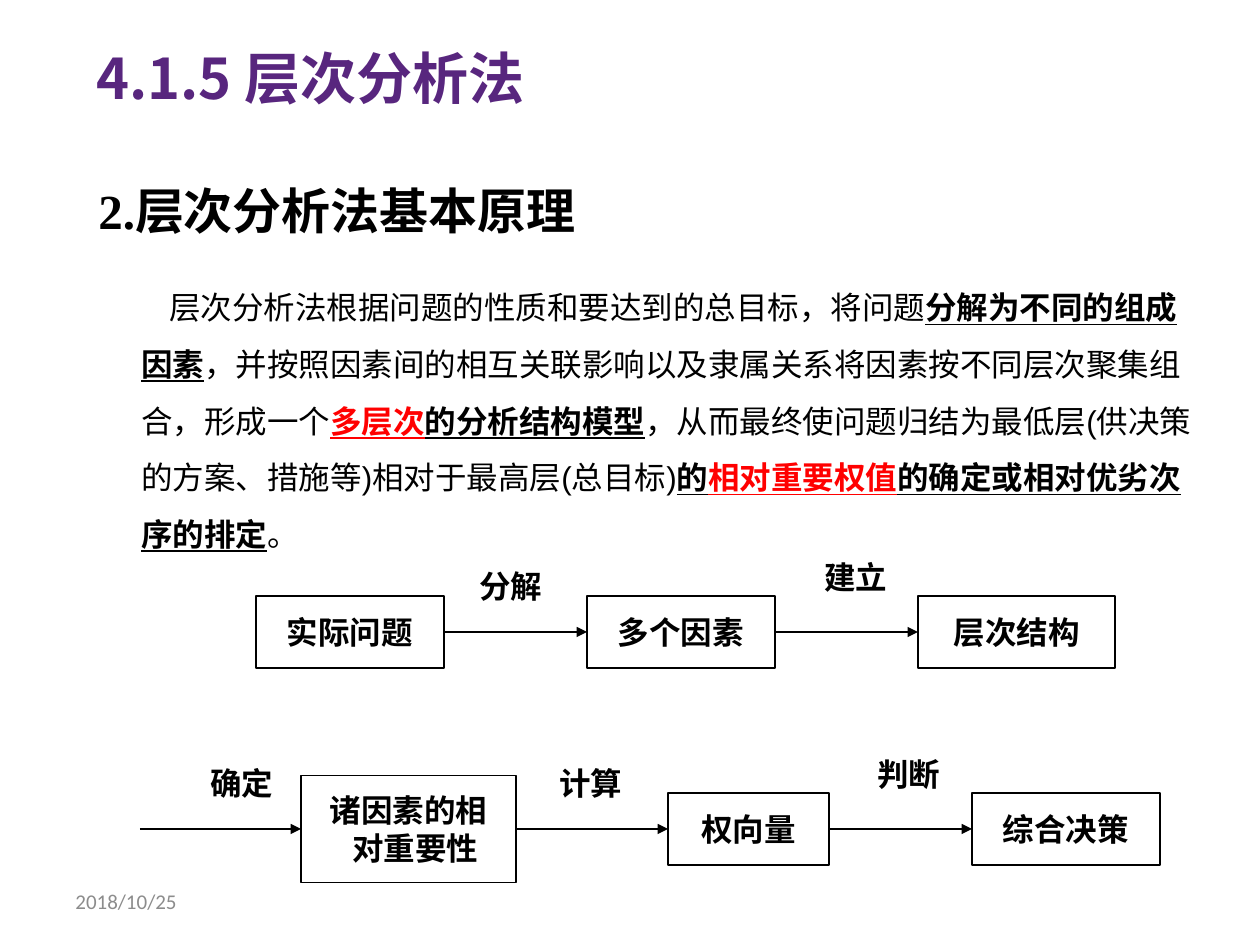
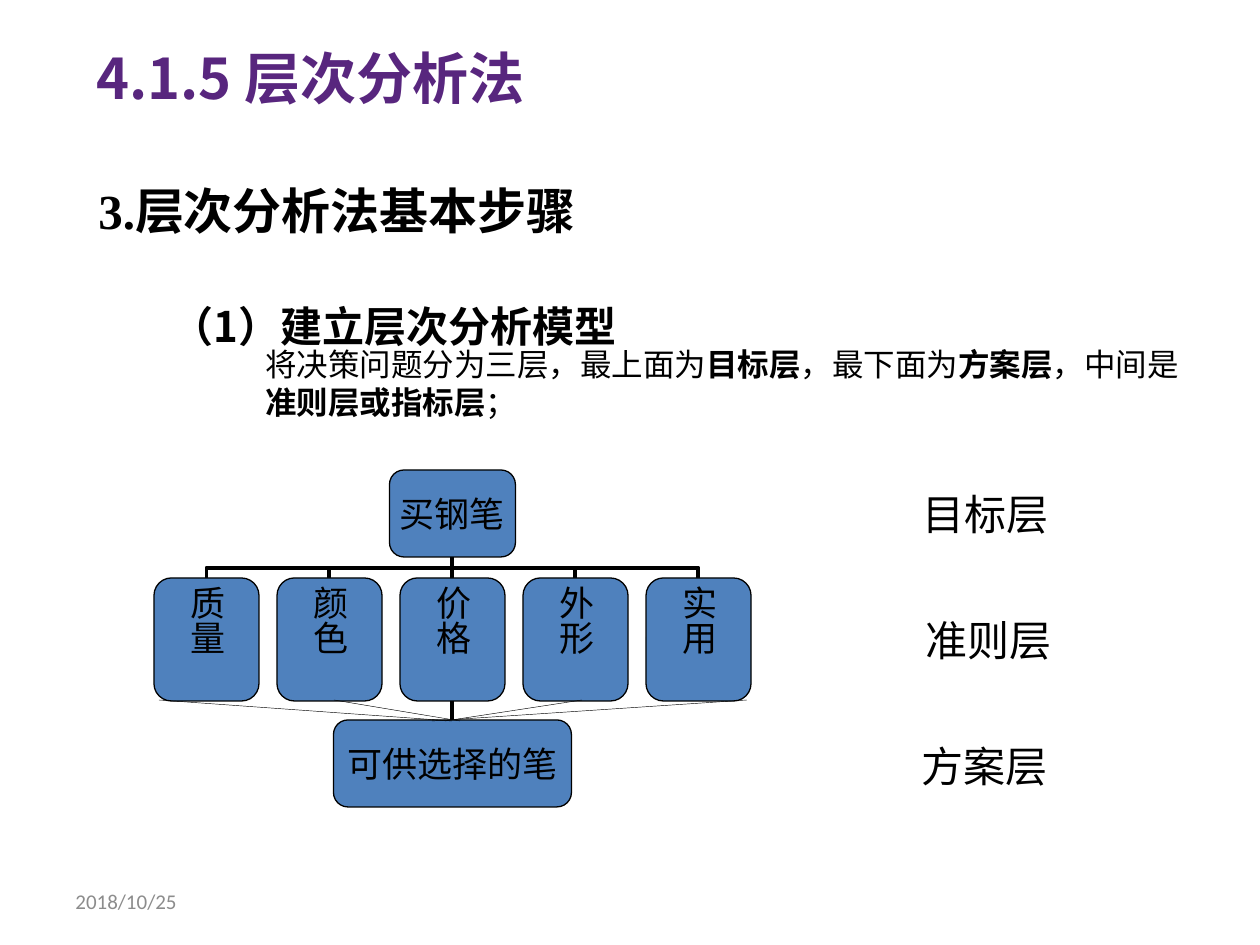
from pptx import Presentation
from pptx.dml.color import RGBColor as Rgb
from pptx.enum.lang import MSO_LANGUAGE_ID as Lang
from pptx.enum.shapes import MSO_CONNECTOR as Link, MSO_SHAPE as Kind
from pptx.enum.text import MSO_ANCHOR as Anchor, PP_ALIGN as Align
from pptx.oxml.ns import qn
from pptx.util import Pt
from lxml.etree import SubElement

SCALE = 914400 / 126
HUES = {"title": "58267E", "ink": "000000", "date": "8C8C8C",
        "key": "FF0000", "fill": "4F81BD"}
SANS, BODY, HEAD, LATIN = "Noto Sans CJK SC", "Calibri", "Times New Roman", "Arial"


def px(*nums):
    return [round(n * SCALE) for n in nums]


def hue(name):
    return Rgb.from_string(HUES[name])


def style(para, size, font, color="ink", bold=False, align=Align.LEFT, lead=None):
    face = para.font
    face.size, face.name, face.bold = Pt(size), font, bold
    face.color.rgb = hue(color)
    face.language_id = Lang.SIMPLIFIED_CHINESE
    para.alignment = align
    if lead:
        para.line_spacing = lead


def write(slide, box, runs, size, font, anchor=Anchor.TOP, **look):
    """Add a text box; runs is a string or (text, marks) pairs."""
    frame = slide.shapes.add_textbox(*px(*box)).text_frame
    frame.word_wrap, frame.vertical_anchor = True, anchor
    para = frame.paragraphs[0]
    style(para, size, font, **look)
    for text, marks in [(runs, "")] if isinstance(runs, str) else runs:
        run = para.add_run()
        run.text = text
        if "b" in marks:
            run.font.bold = True
        if "u" in marks:
            run.font.underline = True
        if "r" in marks:
            run.font.color.rgb = hue("key")
    return para


def label(slide, mid, text, size, font, bold=False):
    """Centre a short label on a point."""
    x, y = mid
    write(slide, (x - 100, y - 32, 200, 64), text, size, font,
          Anchor.MIDDLE, bold=bold, align=Align.CENTER)


def block(slide, kind, box, text, size, bold=False, fill=None):
    shape = slide.shapes.add_shape(kind, *px(*box))
    shape.shadow.inherit = False
    shape.line.color.rgb, shape.line.width = hue("ink"), Pt(0.75)
    if fill:
        shape.fill.solid()
        shape.fill.fore_color.rgb = hue(fill)
    else:
        shape.fill.background()
    frame = shape.text_frame
    frame.text, frame.word_wrap = text, True
    frame.vertical_anchor = Anchor.MIDDLE
    frame.margin_left = frame.margin_right = 0
    frame.margin_top = frame.margin_bottom = px(3)[0]
    for para in frame.paragraphs:
        style(para, size, BODY, bold=bold, align=Align.CENTER)
    return frame


def join(slide, start, end, width, kind=Link.STRAIGHT, arrow=False):
    line = slide.shapes.add_connector(kind, *px(*start, *end))
    line.line.color.rgb, line.line.width = hue("ink"), Pt(width)
    props = line.element.spPr
    if arrow:
        SubElement(props.find(qn("a:ln")), qn("a:tailEnd"), type="triangle")
    SubElement(props, qn("a:effectLst"))
    return line


def elbow(slide, low, high):
    """Rise from low, run across, then rise to high: a turned elbow."""
    (x1, y1), (x2, y2) = low, high
    midx, midy = (x1 + x2) / 2, (y1 + y2) / 2
    half, reach = abs(y1 - y2) / 2, abs(x2 - x1) / 2
    side = 1 if x1 < x2 else -1
    line = join(slide, (midx - side * half, midy - reach),
                (midx + side * half, midy + reach), 2.25, Link.ELBOW)
    turn = 270 if side > 0 else 90
    line.element.spPr.find(qn("a:xfrm")).set("rot", str(turn * 60000))


def base(deck, heading):
    """Blank slide with the shared title, heading and date."""
    slide = deck.slides.add_slide(deck.slide_layouts[6])
    write(slide, (63, 876, 294, 50), "2018/10/25", 12, BODY, Anchor.MIDDLE, color="date")
    write(slide, (84, 37, 1134, 78), "4.1.5 层次分析法", 32, SANS, color="title", bold=True)
    write(slide, (86, 165, 833, 98), heading, 28, HEAD, Anchor.MIDDLE, bold=True, lead=0.9)
    return slide


def flow(slide, x, y, steps, names, lead=False):
    """Row of boxes centred on y, with arrows between; lead adds an arrow in."""
    frames, last = [], x if lead else None
    for left, wide, tall, text in steps:
        if last is not None:
            join(slide, (last, y), (x + left, y), 0.75, arrow=True)
        frames.append(block(slide, Kind.FLOWCHART_PROCESS,
                            (x + left, y - tall / 2, wide, tall), text, 18, True))
        last = x + left + wide
    for dx, dy, name in names:
        label(slide, (x + dx, y + dy), name, 18, BODY, True)
    return frames


def tree(slide, x, y):
    """Goal, criteria and options, with their links."""
    wide, tall, step, top, foot = 105, 123, 123, 108, 250
    mid = x + 2 * step + wide / 2
    names = ["质量", "颜色", "价格", "外形", "实用"]
    # Links from criteria to goal, and from the middle one to the options
    for k in (4, 3, 1, 0):
        elbow(slide, (x + k * step + wide / 2, y + top), (mid, y + 87))
    join(slide, (mid, y + top), (mid, y + 87), 2.25)
    join(slide, (mid, y + foot), (mid, y + top + tall), 2.25)
    # Boxes
    boxes = [(mid - 63, y, 126, 87, "买钢笔"), (mid - 119, y + foot, 238, 87, "可供选择的笔")]
    for *box, text in boxes:
        block(slide, Kind.ROUNDED_RECTANGLE, box, text, 20, fill="fill")
    for k, text in enumerate(names):
        frame = block(slide, Kind.ROUNDED_RECTANGLE,
                      (x + k * step, y + top, wide, tall), text, 20, fill="fill")
        frame.paragraphs[0].alignment = Align.LEFT
        frame._txBody.bodyPr.set("vert", "eaVert")
    # Thin lines fanning into the options
    for start, end in [(180, 306), (5, 298), (593, 278), (428, 291)]:
        join(slide, (x + start, y + 230), (x + end, y + foot + 1), 0.25)


def theory(deck):
    slide = base(deck, "2.层次分析法基本原理")
    para = write(slide, (129, 263, 1075, 299), [
        ("层次分析法根据问题的性质和要达到的总目标，将问题", ""),
        ("分解为不同的组成因素", "bu"),
        ("，并按照因素间的相互关联影响以及隶属关系将因素按不同层次聚集组合，形成一个", ""),
        ("多层次", "bur"),
        ("的分析结构模型", "bu"),
        ("，从而最终使问题归结为最低层(供决策的方案、措施等)相对于最高层(总目标)", ""),
        ("的", "bu"),
        ("相对重要权值", "bur"),
        ("的确定或相对优劣次序的排定", "bu"),
        ("。", "")], 18, LATIN, lead=1.5)
    para._p.get_or_add_pPr().set("indent", str(px(28)[0]))
    flow(slide, 256, 632,
         [(0, 188, 72, "实际问题"), (331, 188, 72, "多个因素"), (662, 197, 72, "层次结构")],
         [(255, -46, "分解"), (600, -55, "建立")])
    frames = flow(slide, 140, 829,
                  [(161, 215, 107, "诸因素的相\n对重要性"), (528, 161, 72, "权向量"),
                   (832, 188, 72, "综合决策")],
                  [(102, -46, "确定"), (451, -46, "计算"), (769, -55, "判断")], lead=True)
    frames[0].paragraphs[1]._p.get_or_add_pPr().set("marL", str(px(14)[0]))


def steps(deck):
    slide = base(deck, "3.层次分析法基本步骤")
    write(slide, (159, 244, 1047, 115), "（1）建立层次分析模型", 24, SANS, bold=True, lead=2)
    write(slide, (253, 339, 951, 89), [
        ("将决策问题分为三层，最上面为", ""), ("目标层", "b"),
        ("，最下面为", ""), ("方案层", "b"),
        ("，中间是", ""), ("准则层或指标层", "b"), ("；", "")], 18, SANS)
    tree(slide, 154, 470)
    for k, (x, name) in enumerate([(986, "目标层"), (989, "准则层"), (985, "方案层")]):
        label(slide, (x, 514 + 126 * k), name, 24, SANS)


def main():
    deck = Presentation()
    deck.slide_width, deck.slide_height = px(1260, 945)
    theory(deck)
    steps(deck)
    deck.save("out.pptx")


if __name__ == "__main__":
    main()
